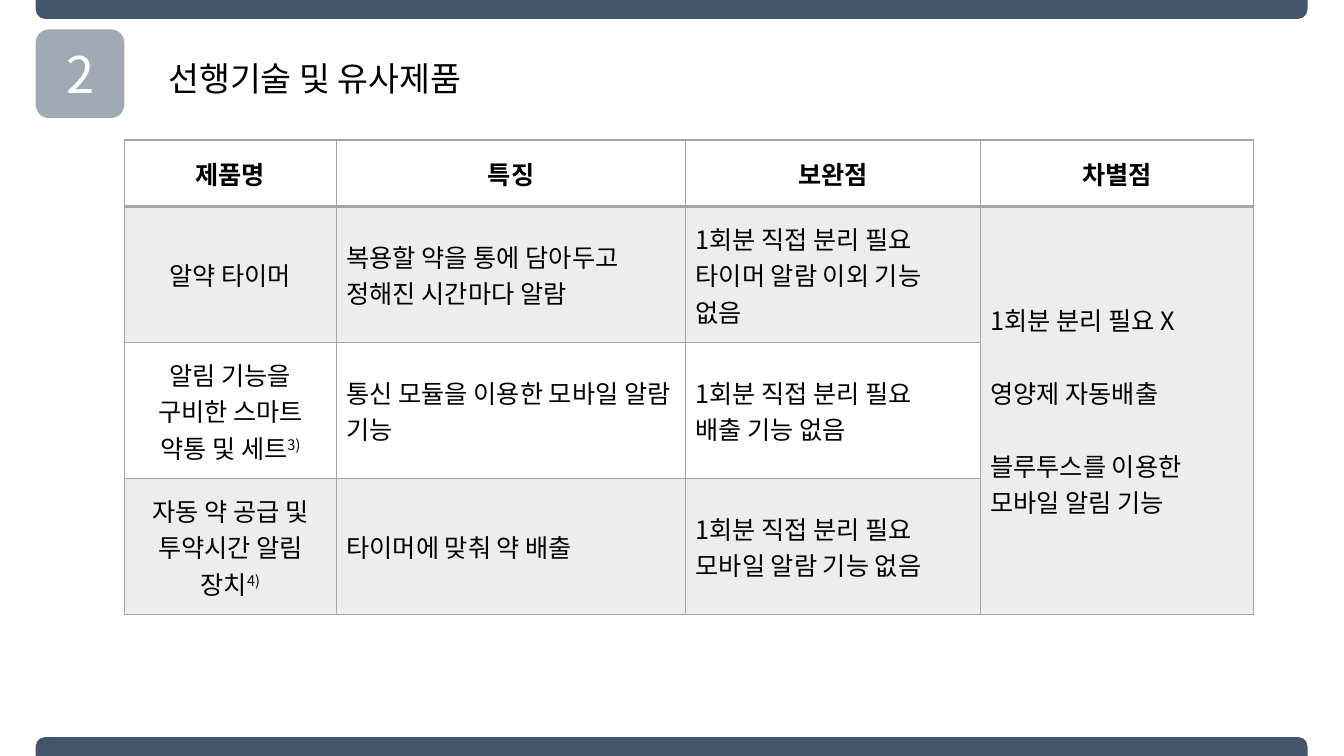
"""Build the slide comparing prior technology and similar products."""
from lxml.etree import SubElement
from pptx import Presentation
from pptx.dml.color import RGBColor
from pptx.enum.shapes import MSO_SHAPE
from pptx.enum.text import MSO_ANCHOR, MSO_AUTO_SIZE, PP_ALIGN
from pptx.oxml.ns import qn
from pptx.util import Pt

NAVY = RGBColor(0x44, 0x54, 0x6A)
GRAY = RGBColor(0xA5, 0xA5, 0xA5)
BLACK = RGBColor(0, 0, 0)
WHITE = RGBColor(255, 255, 255)
FONT = "Noto Sans CJK KR"


def write(paragraph, text, size=18, color=BLACK, bold=False, align=PP_ALIGN.LEFT, baseline=0):
    paragraph.alignment = align
    run = paragraph.add_run()
    run.text = text
    run.font.size = Pt(size)
    run.font.bold = bold
    run.font.color.rgb = color
    run.font.name = FONT
    properties = run.font._element
    SubElement(properties, qn("a:ea"), typeface=FONT)
    if baseline:
        properties.set("baseline", str(baseline * 1000))


def paint(fill, color, opacity=100):
    fill.solid()
    fill.fore_color.rgb = color
    if opacity < 100:
        color_element = fill._xPr.find(qn("a:solidFill"))[0]
        SubElement(color_element, qn("a:alpha"), val=str(opacity * 1000))


presentation = Presentation()
presentation.slide_width = Pt(960)
presentation.slide_height = Pt(540)
slide = presentation.slides.add_slide(presentation.slide_layouts[5])

for top, rotation in ((0, 180), (526.5, 0)):
    band = slide.shapes.add_shape(
        MSO_SHAPE.ROUND_2_SAME_RECTANGLE, Pt(25.5), Pt(top), Pt(908.5), Pt(13.5))
    band.rotation = rotation
    band.adjustments[0] = 0.5
    band.adjustments[1] = 0
    band.shadow.inherit = False
    paint(band.fill, NAVY)
    band.line.fill.background()

heading = slide.shapes.title
heading.left, heading.top, heading.width, heading.height = Pt(113), Pt(38), Pt(250), Pt(36)
heading.text_frame.word_wrap = False
heading.text_frame.auto_size = MSO_AUTO_SIZE.NONE
heading.text_frame.vertical_anchor = MSO_ANCHOR.MIDDLE
write(heading.text_frame.paragraphs[0], "선행기술 및 유사제품", size=24)

headers = ["제품명", "특징", "보완점", "차별점"]
products = [
    ("알약 타이머", "", "복용할 약을 통에 담아두고 정해진 시간마다 알람",
     ["1회분 직접 분리 필요", "타이머 알람 이외 기능 없음"]),
    ("알림 기능을 구비한 스마트 약통 및 세트", "3)", "통신 모듈을 이용한 모바일 알람 기능",
     ["1회분 직접 분리 필요", "배출 기능 없음"]),
    ("자동 약 공급 및 투약시간 알림 장치", "4)", "타이머에 맞춰 약 배출",
     ["1회분 직접 분리 필요", "모바일 알람 기능 없음"]),
]
advantages = ["1회분 분리 필요 X", "영양제 자동배출", "블루투스를 이용한 모바일 알림 기능"]
column_widths = [151.5, 249.5, 210.5, 195]
row_heights = [47.5, 97.2, 97.2, 97.2]

comparison = slide.shapes.add_table(
    4, 4, Pt(88.8), Pt(100), Pt(sum(column_widths)), Pt(sum(row_heights))).table
comparison.first_row = False
comparison.horz_banding = False
for column, width in zip(comparison.columns, column_widths):
    column.width = Pt(width)
for row, height in zip(comparison.rows, row_heights):
    row.height = Pt(height)
comparison.cell(1, 3).merge(comparison.cell(3, 3))

for row in range(4):
    for column in range(4):
        cell = comparison.cell(row, column)
        cell.vertical_anchor = MSO_ANCHOR.MIDDLE
        cell_properties = cell._tc.get_or_add_tcPr()
        for side in "LRTB":
            under_header = (row, side) in ((0, "B"), (1, "T"))
            border = SubElement(cell_properties, qn(f"a:ln{side}"),
                                w=str(Pt(2 if under_header else 1)))
            border_fill = SubElement(border, qn("a:solidFill"))
            SubElement(border_fill, qn("a:srgbClr"), val=str(GRAY))
        if row % 2 or (row and column == 3):
            paint(cell.fill, GRAY, opacity=20)
        else:
            cell.fill.background()

for column, header in enumerate(headers):
    write(comparison.cell(0, column).text_frame.paragraphs[0], header,
          bold=True, align=PP_ALIGN.CENTER)

for row, (product, reference, feature, shortcomings) in enumerate(products, start=1):
    product_line = comparison.cell(row, 0).text_frame.paragraphs[0]
    write(product_line, product, align=PP_ALIGN.CENTER)
    if reference:
        write(product_line, reference, align=PP_ALIGN.CENTER, baseline=30)
    write(comparison.cell(row, 1).text_frame.paragraphs[0], feature)
    shortcoming_frame = comparison.cell(row, 2).text_frame
    write(shortcoming_frame.paragraphs[0], shortcomings[0])
    write(shortcoming_frame.add_paragraph(), shortcomings[1])

advantage_frame = comparison.cell(1, 3).text_frame
write(advantage_frame.paragraphs[0], advantages[0])
for advantage in advantages[1:]:
    advantage_line = advantage_frame.add_paragraph()
    advantage_line.space_before = Pt(26)
    write(advantage_line, advantage)

section = slide.shapes.add_shape(
    MSO_SHAPE.ROUNDED_RECTANGLE, Pt(25.5), Pt(21), Pt(63.3), Pt(63.3))
section.adjustments[0] = 0.15
section.shadow.inherit = False
paint(section.fill, NAVY, opacity=50)
section.line.fill.background()
section.text_frame.vertical_anchor = MSO_ANCHOR.MIDDLE
write(section.text_frame.paragraphs[0], "2", size=36, color=WHITE, align=PP_ALIGN.CENTER)

presentation.save("out.pptx")
